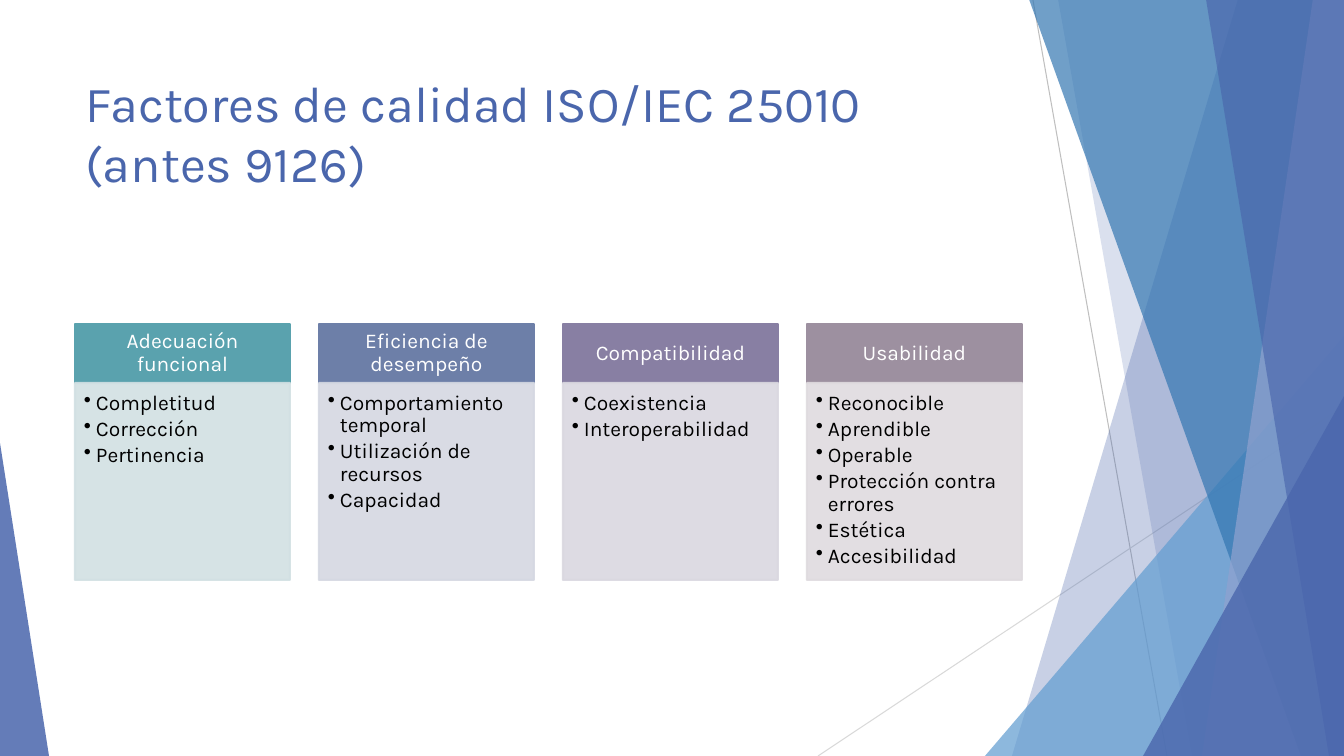
from lxml import etree
from pptx import Presentation
from pptx import util as u
from pptx.dml.color import RGBColor
from pptx.enum import shapes, text
from pptx.oxml.ns import qn

PIXEL = 914400 / 100.8
WIDTH, HEIGHT = 1344, 756
FONT = "Karla"

WHITE = RGBColor(0xFF, 0xFF, 0xFF)
BLACK = RGBColor(0x00, 0x00, 0x00)
INDIGO = RGBColor(0x4A, 0x66, 0xAC)
SKY = RGBColor(0x62, 0x9D, 0xD1)
OCEAN = RGBColor(0x34, 0x77, 0xB2)
LAVENDER = RGBColor(0x90, 0xA2, 0xCF)
GRAY = RGBColor(0xBF, 0xBF, 0xBF)
LIGHT_GRAY = RGBColor(0xD9, 0xD9, 0xD9)


def px(*lengths):
    """Turn pixel lengths into a list of EMU lengths."""
    return [u.Emu(round(length * PIXEL)) for length in lengths]


def paint(shape, color, opacity=100, outlined=False):
    """Fill a shape, and its outline if wanted, with one colour and opacity."""
    shape.shadow.inherit = False
    shape.fill.solid()
    shape.fill.fore_color.rgb = color
    if outlined:
        shape.line.color.rgb = color
        shape.line.width = u.Pt(1.5)
    else:
        shape.line.fill.background()
    if opacity < 100:
        for solid_color in shape._element.spPr.iter(qn("a:srgbClr")):
            etree.SubElement(solid_color, qn("a:alpha"), val=str(opacity * 1000))


presentation = Presentation()
presentation.slide_width, presentation.slide_height = px(WIDTH, HEIGHT)
slide = presentation.slides.add_slide(presentation.slide_layouts[5])

# Thin background lines
for start_x, start_y, end_x, end_y, color in [
    (1033, 0, 1167, HEIGHT, GRAY),
    (WIDTH, 406, 818, HEIGHT, LIGHT_GRAY),
]:
    line = slide.shapes.add_connector(
        shapes.MSO_CONNECTOR.STRAIGHT, *px(start_x, start_y, end_x, end_y))
    line.line.color.rgb = color
    line.line.width = u.Pt(0.75)
    etree.SubElement(line._element.spPr, qn("a:effectLst"))

# Facets from back to front: a panel reaching the right edge is given by its
# left x at top and bottom, a triangle by left, top, width, height and apex
facets = [
    ((1238, 1012), INDIGO, 30),
    ((1058, 1192), INDIGO, 20),
    ((985, 336, 359, 420, 1), SKY, 72),
    ((1029, 1301), OCEAN, 70),
    ((1313, 1202), LAVENDER, 70),
    ((1206, 1329), INDIGO, 65),
    ((1143, 396, 201, 360, 1), INDIGO, 80),
    ((0, 443, 49, 313, 0), INDIGO, 85),
]
for geometry, color, opacity in facets:
    if len(geometry) == 2:
        top_x, bottom_x = geometry
        builder = slide.shapes.build_freeform(top_x, -1, scale=PIXEL)
        builder.add_line_segments([(WIDTH, -1), (WIDTH, HEIGHT), (bottom_x, HEIGHT)])
        facet = builder.convert_to_shape()
    else:
        *box, apex = geometry
        facet = slide.shapes.add_shape(
            shapes.MSO_SHAPE.ISOSCELES_TRIANGLE, *px(*box))
        facet.adjustments[0] = apex
    paint(facet, color, opacity)

# Title
title = slide.shapes.title
title.left, title.top, title.width, title.height = px(75, 67, 948, 146)
title.text_frame.text = "Factores de calidad ISO/IEC 25010 (antes 9126)"
title.text_frame.word_wrap = True
title.text_frame.auto_size = text.MSO_AUTO_SIZE.NONE
title.text_frame.vertical_anchor = text.MSO_ANCHOR.TOP
paragraph = title.text_frame.paragraphs[0]
paragraph.alignment = text.PP_ALIGN.LEFT
paragraph.font.name = FONT
paragraph.font.size = u.Pt(36)
paragraph.font.color.rgb = INDIGO

# Quality factors: heading, its colour, body colour, characteristics
factors = [
    ("Adecuación funcional", RGBColor(0x5A, 0xA2, 0xAE), RGBColor(0xD2, 0xE0, 0xE3),
     ["Completitud", "Corrección", "Pertinencia"]),
    ("Eficiencia de desempeño", RGBColor(0x6D, 0x7F, 0xA8), RGBColor(0xD5, 0xD8, 0xE2),
     ["Comportamiento temporal", "Utilización de recursos", "Capacidad"]),
    ("Compatibilidad", RGBColor(0x88, 0x7F, 0xA3), RGBColor(0xDA, 0xD8, 0xE0),
     ["Coexistencia", "Interoperabilidad"]),
    ("Usabilidad", RGBColor(0x9D, 0x90, 0xA0), RGBColor(0xDF, 0xDB, 0xDF),
     ["Reconocible", "Aprendible", "Operable", "Protección contra errores",
      "Estética", "Accesibilidad"]),
]
COLUMN_LEFT, COLUMN_STEP, COLUMN_WIDTH = 75, 244, 215
HEADING_TOP, HEADING_HEIGHT, BODY_HEIGHT = 324, 59, 197

for column, (heading, heading_color, body_color, characteristics) in enumerate(factors):
    left = COLUMN_LEFT + column * COLUMN_STEP
    parts = [
        (HEADING_TOP, HEADING_HEIGHT, heading_color, 100, [heading], WHITE,
         (12, 7, 12, 7), text.MSO_ANCHOR.MIDDLE, text.PP_ALIGN.CENTER),
        (HEADING_TOP + HEADING_HEIGHT, BODY_HEIGHT, body_color, 90, characteristics,
         BLACK, (9, 9, 12, 13), text.MSO_ANCHOR.TOP, text.PP_ALIGN.LEFT),
    ]
    for top, height, fill, opacity, lines, ink, insets, anchor, alignment in parts:
        box = slide.shapes.add_shape(
            shapes.MSO_SHAPE.RECTANGLE, *px(left, top, COLUMN_WIDTH, height))
        paint(box, fill, opacity, outlined=True)
        frame = box.text_frame
        frame.word_wrap = True
        frame.vertical_anchor = anchor
        (frame.margin_left, frame.margin_top,
         frame.margin_right, frame.margin_bottom) = px(*insets)
        frame.text = "\n".join(lines)
        for paragraph in frame.paragraphs:
            paragraph.alignment = alignment
            paragraph.line_spacing = 0.9
            paragraph.font.name = FONT
            paragraph.font.size = u.Pt(15)
            paragraph.font.color.rgb = ink
            if lines is characteristics:
                paragraph.space_after = u.Pt(2.5)
                indent = px(12)[0]
                properties = paragraph._p.get_or_add_pPr()
                properties.set("marL", str(indent))
                properties.set("indent", str(-indent))
                bullet = etree.Element(qn("a:buChar"), char="•")
                properties.find(qn("a:defRPr")).addprevious(bullet)

presentation.save("out.pptx")
